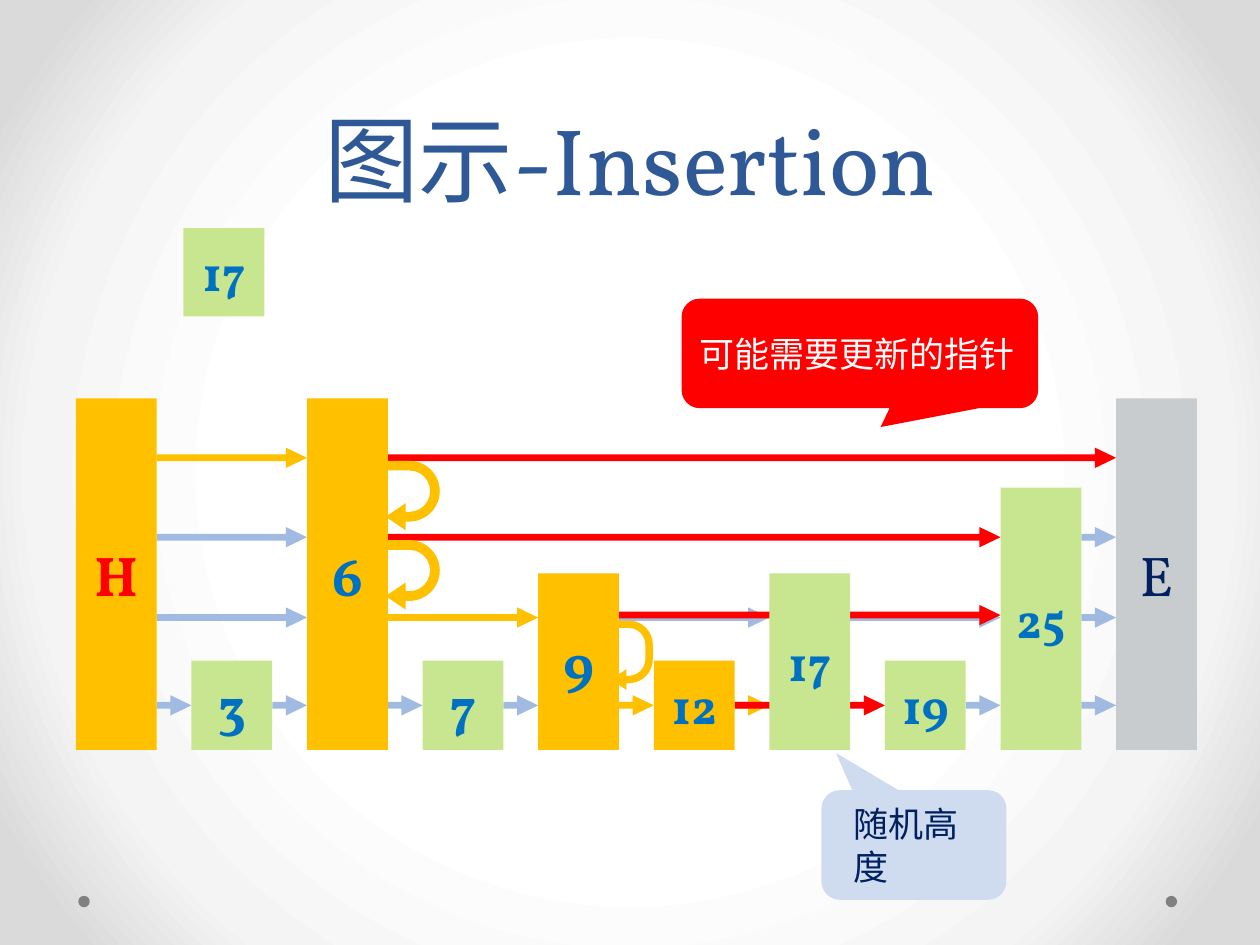
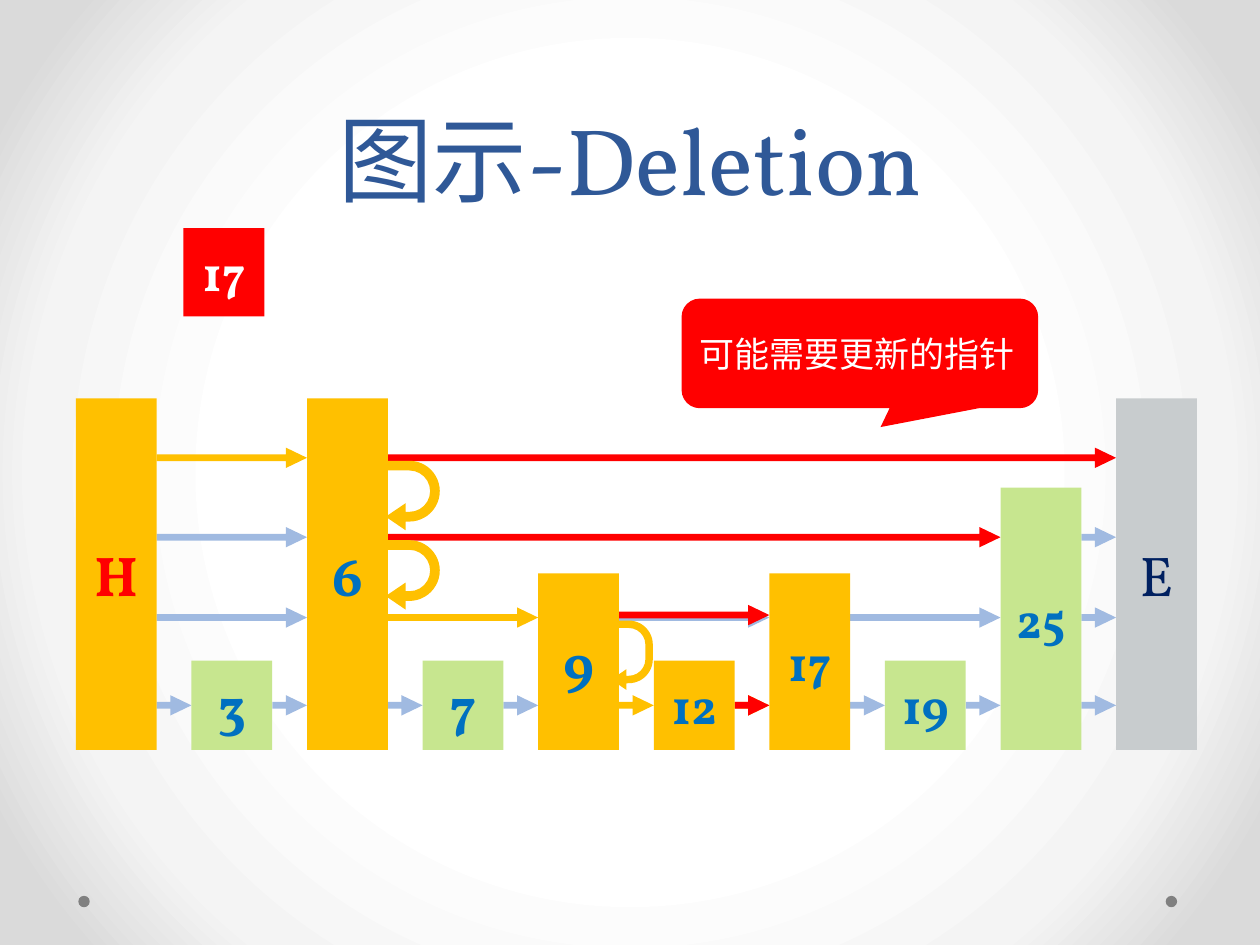
"""Build two slides that show insertion and deletion in a skip list."""
import dataclasses

import lxml.etree
import pptx
import pptx.dml.color
import pptx.enum.shapes
import pptx.enum.text
import pptx.oxml
import pptx.oxml.ns
import pptx.util

Cm = pptx.util.Cm
Preset = pptx.enum.shapes.MSO_SHAPE
Align = pptx.enum.text.PP_ALIGN
Anchor = pptx.enum.text.MSO_ANCHOR


@dataclasses.dataclass(frozen=True)
class Theme:
    latin: str = "Vollkorn"
    cjk: str = "Noto Sans CJK SC"
    title: str = "2F5897"
    node: str = "C7E68F"
    visited: str = "FFC000"
    end: str = "C8CCCE"
    link: str = "A0BAE1"
    update: str = "FF0000"
    hint: str = "CFDCF0"
    key: str = "0070C0"
    navy: str = "002060"
    white: str = "FFFFFF"
    dot: str = "808080"
    backdrop: tuple = ((50, "FFFFFF"), (76, "F4F4F4"), (92, "DADADA"))
    title_size: int = 54
    key_size: int = 32
    long_key_size: int = 28
    callout_size: int = 20


theme = Theme()


def place(slide, preset, left, top, width, height, color, adjustments=()):
    shape = slide.shapes.add_shape(preset, Cm(left), Cm(top), Cm(width), Cm(height))
    shape.shadow.inherit = False
    shape.fill.solid()
    shape.fill.fore_color.rgb = pptx.dml.color.RGBColor.from_string(color)
    shape.line.fill.background()
    for index, value in enumerate(adjustments):
        shape.adjustments[index] = value
    return shape


def write(shape, text, size, color, font=theme.latin, bold=False,
          align=Align.CENTER, anchor=Anchor.MIDDLE, spacing=None, indent=0.25):
    frame = shape.text_frame
    frame.word_wrap = True
    frame.vertical_anchor = anchor
    frame.margin_left = Cm(indent)
    paragraph = frame.paragraphs[0]
    paragraph.alignment = align
    if spacing:
        paragraph.line_spacing = pptx.util.Pt(spacing)
    run = paragraph.add_run()
    run.text = text
    run.font.size = pptx.util.Pt(size)
    run.font.bold = bold
    run.font.color.rgb = pptx.dml.color.RGBColor.from_string(color)
    run.font.name = font
    east_asian = lxml.etree.SubElement(run._r.get_or_add_rPr(), pptx.oxml.ns.qn("a:ea"))
    east_asian.set("typeface", theme.cjk)


first_left, pitch, node_width = 1.53, 2.33, 1.63
base = 15.12
node_tops = {1: 13.32, 2: 11.56, 3: 9.83, 4: 8.03}
link_rows = {1: 14.22, 2: 12.45, 3: 10.83, 4: 9.23}
link_height = 0.41
turn_length = 1.4
column_lefts = [first_left + pitch * column for column in range(10)]
column_rights = [left + node_width for left in column_lefts]

plain_links = [(0, 1, 1), (1, 2, 1), (2, 3, 1), (3, 4, 1), (7, 8, 1), (8, 9, 1),
               (0, 2, 2), (4, 6, 2), (6, 8, 2), (8, 9, 2), (0, 2, 3), (8, 9, 3)]
visited_links = [(4, 5, 1), (5, 6, 1), (2, 4, 2), (0, 2, 4)]
shared_updates = [(2, 8, 3), (2, 9, 4)]
nodes = [("H", 0, 4, theme.visited, theme.update), ("3", 1, 1, theme.node, theme.key),
         ("6", 2, 4, theme.visited, theme.key), ("7", 3, 1, theme.node, theme.key),
         ("9", 4, 2, theme.visited, theme.key), ("12", 5, 1, theme.visited, theme.key),
         ("19", 7, 1, theme.node, theme.key), ("25", 8, 3, theme.node, theme.key),
         ("E", 9, 4, theme.end, theme.navy)]
descents = [(2, 4, 1.09, 0.5), (2, 3, 1.09, 0.5), (4, 2, 0.84, 0.26)]
update_callout = ("可能需要更新的指针", 13.74, 6.02, 7.19, 2.21, theme.update,
                  theme.white, (0.058, 0.672, 0.167), 0.25)
height_callout = ("随机高度", 16.56, 15.93, 3.73, 2.21, theme.hint,
                  theme.navy, (-0.421, -0.84, 0.167), 0.53)

operations = [
    dict(title="图示-Insertion", target_fill=theme.node, target_key=theme.key,
         links=[], updates=[(4, 8, 2), (5, 7, 1)], node_fill=theme.node,
         callouts=[update_callout, height_callout]),
    dict(title="图示-Deletion", target_fill=theme.update, target_key=theme.white,
         links=[(6, 7, 1)], updates=[(4, 6, 2), (5, 6, 1)], node_fill=theme.visited,
         callouts=[update_callout]),
]

deck = pptx.Presentation()
deck.slide_width, deck.slide_height = Cm(25.4), Cm(19.05)

master = deck.slide_master
master.background.fill.gradient()
gradient = master.element.xpath(".//p:bgPr/a:gradFill")[0]
stops = "".join(f'<a:gs pos="{position * 1000}"><a:srgbClr val="{color}"/></a:gs>'
                for position, color in theme.backdrop)
gradient.getparent().replace(gradient, pptx.oxml.parse_xml(
    f'<a:gradFill {pptx.oxml.ns.nsdecls("a")} rotWithShape="1"><a:gsLst>{stops}</a:gsLst>'
    '<a:path path="circle"><a:fillToRect l="50000" t="50000" r="50000" b="50000"/>'
    '</a:path></a:gradFill>'))

for operation in operations:
    slide = deck.slides.add_slide(deck.slide_layouts[6])
    for dot_left in (1.58, 23.5):
        place(slide, Preset.OVAL, dot_left, 18.06, 0.23, 0.23, theme.dot)

    heading = slide.shapes.add_textbox(Cm(1.27), Cm(0), Cm(22.86), Cm(4.45))
    write(heading, operation["title"], theme.title_size, theme.title,
          anchor=Anchor.BOTTOM, spacing=58)

    target = place(slide, Preset.RECTANGLE, 3.7, 4.6, node_width, 1.78,
                   operation["target_fill"])
    write(target, "17", theme.long_key_size, operation["target_key"], bold=True)

    link_layers = [(plain_links + operation["links"], theme.link),
                   (visited_links, theme.visited),
                   (operation["updates"] + shared_updates, theme.update)]
    for links, color in link_layers:
        for start, stop, level in links:
            lift = 0.05 if color == theme.update and level == 2 else 0
            place(slide, Preset.RIGHT_ARROW, column_rights[start],
                  link_rows[level] - link_height / 2 - lift,
                  column_lefts[stop] - column_rights[start], link_height,
                  color, (0.331, 1.037))

    for column, level, breadth, offset in descents:
        turn = place(slide, Preset.U_TURN_ARROW,
                     column_rights[column] + offset - turn_length / 2,
                     link_rows[level] + 0.76 - breadth / 2, turn_length, breadth,
                     theme.visited, (0.179, 0.25, 0.367, 0.579, 1))
        turn.rotation = 90

    for key, column, level, fill, color in nodes + [
            ("17", 6, 2, operation["node_fill"], theme.key)]:
        node = place(slide, Preset.RECTANGLE, column_lefts[column], node_tops[level],
                     node_width, base - node_tops[level], fill)
        write(node, key, theme.long_key_size if len(key) > 1 else theme.key_size,
              color, bold=key != "E")

    for text, left, top, width, height, fill, color, tail, indent in operation["callouts"]:
        callout = place(slide, Preset.ROUNDED_RECTANGULAR_CALLOUT, left, top, width,
                        height, fill, tail)
        write(callout, text, theme.callout_size, color, font=theme.cjk,
              align=Align.LEFT, indent=indent)

deck.save("out.pptx")
